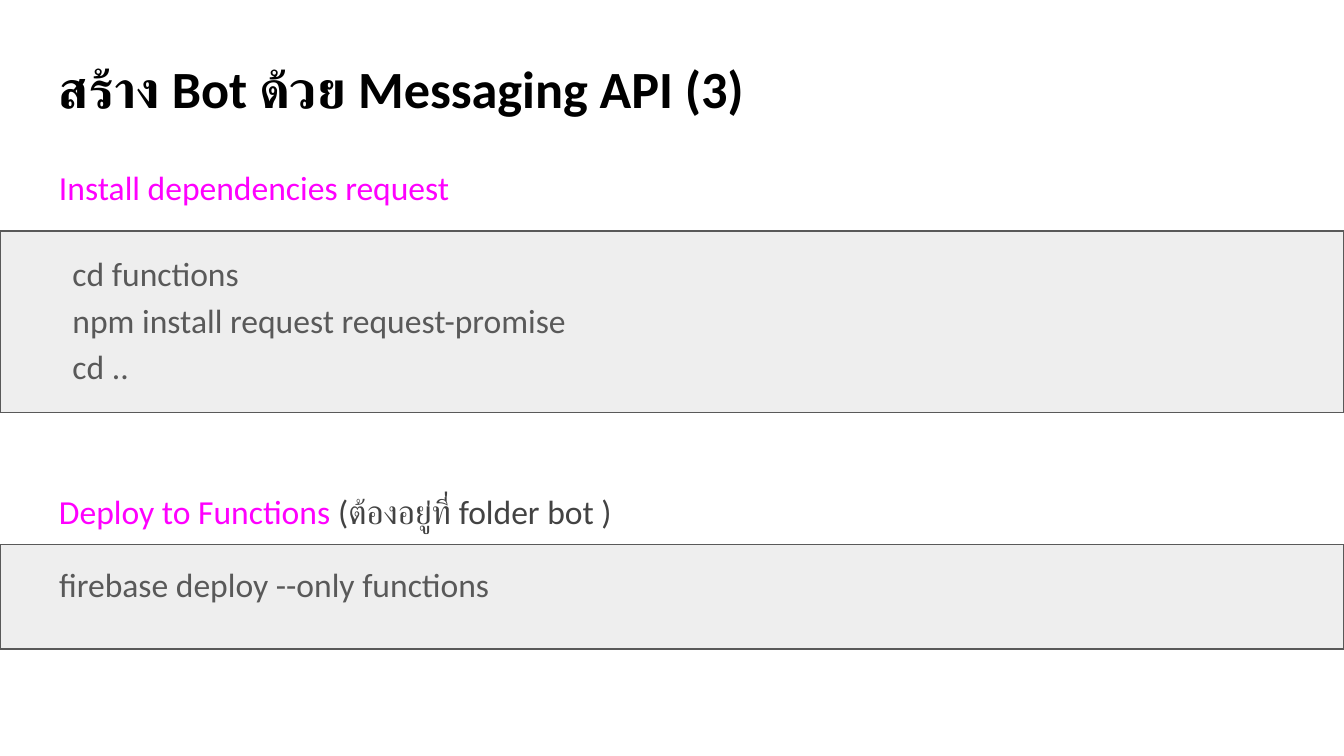
from lxml import etree
from pptx import Presentation
from pptx.dml.color import RGBColor
from pptx.enum.shapes import MSO_SHAPE
from pptx.enum.text import MSO_ANCHOR
from pptx.oxml.ns import qn
from pptx.util import Inches, Pt

RECTANGLE = MSO_SHAPE.RECTANGLE
TOP = MSO_ANCHOR.TOP

BLACK = RGBColor(0x00, 0x00, 0x00)
WHITE = RGBColor(0xFF, 0xFF, 0xFF)
MAGENTA = RGBColor(0xFF, 0x00, 0xFF)
DARK_GRAY = RGBColor(0x43, 0x43, 0x43)
GRAY = RGBColor(0x59, 0x59, 0x59)
PALE_GRAY = RGBColor(0xEE, 0xEE, 0xEE)

FONT = "Calibri"
CELL = Inches(0.1)
COLUMNS = 100
ROWS = COLUMNS * 9 / 16
MARGIN = 3.41
CONTENT = COLUMNS - 2 * MARGIN


def cells(*counts):
    return [round(count * CELL) for count in counts]


def add_span(para, text, size, color, bold):
    span = para.add_run()
    span.text = text
    span.font.size = Pt(size)
    span.font.bold = bold
    span.font.color.rgb = color
    span.font.name = FONT
    complex_font = etree.SubElement(span.font._element, qn("a:cs"))
    complex_font.set("typeface", FONT)


def add_text(page, lines, area, size=18, color=GRAY, bold=False,
             line_spacing=1.15, space_after=16):
    box = page.shapes.add_textbox(*cells(*area))
    frame = box.text_frame
    frame.word_wrap = True
    frame.vertical_anchor = TOP
    frame.margin_left = frame.margin_right = CELL
    frame.margin_top = frame.margin_bottom = CELL
    para = frame.paragraphs[0]
    para.line_spacing = line_spacing
    para.space_after = Pt(space_after)
    for index, line in enumerate(lines):
        if index:
            para.add_line_break()
        add_span(para, line, size, color, bold)
    return para


def add_band(page, top, height):
    band = page.shapes.add_shape(RECTANGLE, *cells(0, top, COLUMNS, height))
    band.shadow.inherit = False
    band.fill.solid()
    band.fill.fore_color.rgb = PALE_GRAY
    band.line.color.rgb = GRAY
    band.line.width = Pt(0.75)


def add_heading(page, text, top):
    return add_text(page, [text], (MARGIN, top, CONTENT, 5.5), color=MAGENTA)


def main():
    deck = Presentation()
    deck.slide_width, deck.slide_height = cells(COLUMNS, ROWS)
    page = deck.slides.add_slide(deck.slide_layouts[6])
    page.background.fill.solid()
    page.background.fill.fore_color.rgb = WHITE

    add_band(page, 40.5, 7.8)
    add_band(page, 17.2, 13.5)

    add_text(page, ["สร้าง Bot ด้วย Messaging API (3)"],
             (MARGIN, 3.2, CONTENT, 6.3), size=28, color=BLACK, bold=True,
             line_spacing=1.0, space_after=0)
    add_heading(page, "Install dependencies request", 10.95)
    add_text(page, ["firebase deploy --only functions"],
             (MARGIN, 40.5, 48.8, 7.8))
    deploy = add_heading(page, "Deploy to Functions ", 35.1)
    add_span(deploy, "(ต้องอยู่ที่ folder bot )", 18, DARK_GRAY, False)
    add_text(page,
             ["cd functions", "npm install request request-promise", "cd .."],
             (MARGIN + 1, 17.4, 67.2, 13.2))

    deck.save("out.pptx")


if __name__ == "__main__":
    main()
